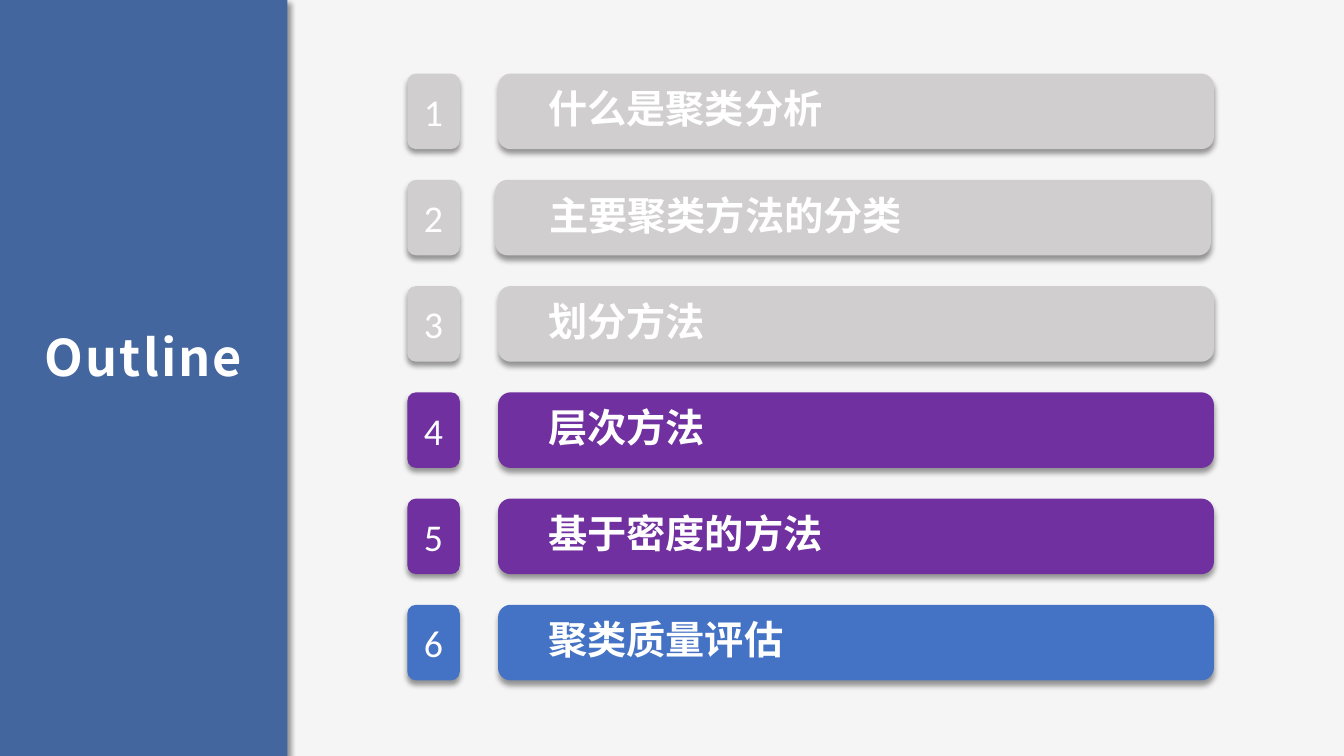
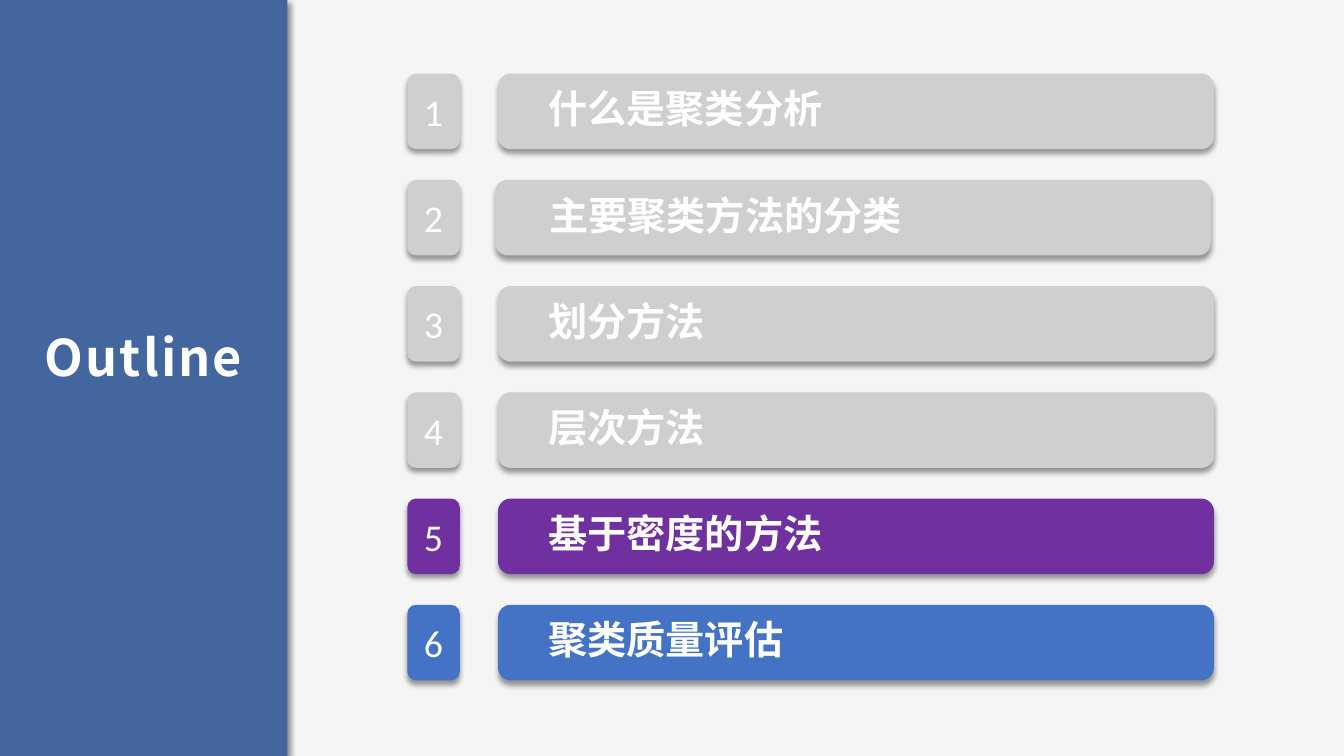
import pptx
import pptx.dml.color
import pptx.enum.shapes
import pptx.enum.text
import pptx.oxml.ns
import pptx.util
from lxml import etree

SLIDE_W, SLIDE_H = 13.33, 7.5
COLORS = {
    "background": "F5F5F5",
    "sidebar": "44669E",
    "done": "D0CECE",
    "current": "7030A0",
    "next": "4472C4",
    "text": "FFFFFF",
    "shadow": "000000",
}
HEAD_FONT, NUMBER_FONT = "Noto Sans CJK SC", "Calibri"
TOPICS = ["什么是聚类分析", "主要聚类方法的分类", "划分方法",
          "层次方法", "基于密度的方法", "聚类质量评估"]
OUTLINES = [
    ["done", "done", "done", "current", "current", "next"],
    ["done", "done", "done", "done", "current", "next"],
]
SIDEBAR_BOX = (0, 0, 2.85, SLIDE_H)
LIST_BOX = (4.04, 0.73, 8, 6.02)
ROW_H = 0.75

SHAPE = pptx.enum.shapes.MSO_SHAPE
ALIGN = pptx.enum.text.PP_ALIGN
ANCHOR = pptx.enum.text.MSO_ANCHOR
qn = pptx.oxml.ns.qn


def rgb(name):
    return pptx.dml.color.RGBColor.from_string(COLORS[name])


def inches(box):
    return [pptx.util.Inches(v) for v in box]


def add_shadow(sp, angle):
    effects = sp._element.spPr.find(qn("a:effectLst"))
    shadow = etree.SubElement(
        effects, qn("a:outerShdw"), blurRad=str(pptx.util.Pt(4)),
        dist=str(pptx.util.Pt(3)), dir=str(angle * 60000),
        algn="t", rotWithShape="0")
    color = etree.SubElement(shadow, qn("a:srgbClr"), val=COLORS["shadow"])
    etree.SubElement(color, qn("a:alpha"), val="40000")


def add_block(shapes, kind, box, color, shadow_angle=None):
    sp = shapes.add_shape(kind, *inches(box))
    sp.fill.solid()
    sp.fill.fore_color.rgb = rgb(color)
    sp.line.fill.background()
    sp.shadow.inherit = False
    if shadow_angle is not None:
        add_shadow(sp, shadow_angle)
    return sp


def set_text(sp, text, size, font, bold=False, align=ALIGN.LEFT,
             anchor=ANCHOR.TOP, spacing=0):
    """Write one white paragraph; spacing is the letter spacing in points."""
    tf = sp.text_frame
    tf.word_wrap = True
    tf.vertical_anchor = anchor
    p = tf.paragraphs[0]
    p.text = text
    p.alignment = align
    p.font.size = pptx.util.Pt(size)
    p.font.bold = bold
    p.font.name = font
    p.font.color.rgb = rgb("text")
    props = p.font._element if hasattr(p.font, "_element") else p.font._rPr
    etree.SubElement(props, qn("a:ea"), typeface=font)
    if spacing:
        props.set("spc", str(int(spacing * 100)))


def add_sidebar(slide, box, title):
    left, top, width, height = box
    add_block(slide.shapes, SHAPE.RECTANGLE, box, "sidebar", 45)
    title_w, title_h = 2.3, 0.71
    title_box = (left + (width - title_w) / 2, top + 0.425 * height,
                 title_w, title_h)
    sp = slide.shapes.add_textbox(*inches(title_box))
    set_text(sp, title, 36, HEAD_FONT, bold=True, align=ALIGN.CENTER,
             spacing=1.5)


def add_topic(slide, box, number, topic, state):
    left, top, width, height = box
    badge = add_block(slide.shapes, SHAPE.ROUNDED_RECTANGLE,
                      (left, top, 0.52, height), state, 90)
    set_text(badge, str(number), 27, NUMBER_FONT, align=ALIGN.CENTER,
             anchor=ANCHOR.MIDDLE)

    bar_left, bar_w = left + 0.9, width - 0.9
    label_left, label_w = bar_left + 0.4, 6.43
    if number == 1:
        label_w = 5.03
    elif number == 2:
        bar_left, label_left = bar_left - 0.03, label_left + 0.01
    group = slide.shapes.add_group_shape()
    add_block(group.shapes, SHAPE.ROUNDED_RECTANGLE,
              (bar_left, top, bar_w, height), state, 90)
    label = add_block(group.shapes, SHAPE.RECTANGLE,
                      (label_left, top + 0.06, label_w, 0.57), state)
    set_text(label, topic, 28, HEAD_FONT, bold=True)


def add_topic_list(slide, box, states):
    left, top, width, height = box
    pitch = (height - ROW_H) / (len(TOPICS) - 1)
    for i, (topic, state) in enumerate(zip(TOPICS, states)):
        add_topic(slide, (left, top + i * pitch, width, ROW_H),
                  i + 1, topic, state)


def add_outline_slide(prs, states):
    slide = prs.slides.add_slide(prs.slide_layouts[6])
    add_sidebar(slide, SIDEBAR_BOX, "Outline")
    add_topic_list(slide, LIST_BOX, states)


def main():
    prs = pptx.Presentation()
    prs.slide_width, prs.slide_height = inches((SLIDE_W, SLIDE_H))
    background = prs.slide_master.background.fill
    background.solid()
    background.fore_color.rgb = rgb("background")
    for states in OUTLINES:
        add_outline_slide(prs, states)
    prs.save("out.pptx")


if __name__ == "__main__":
    main()
